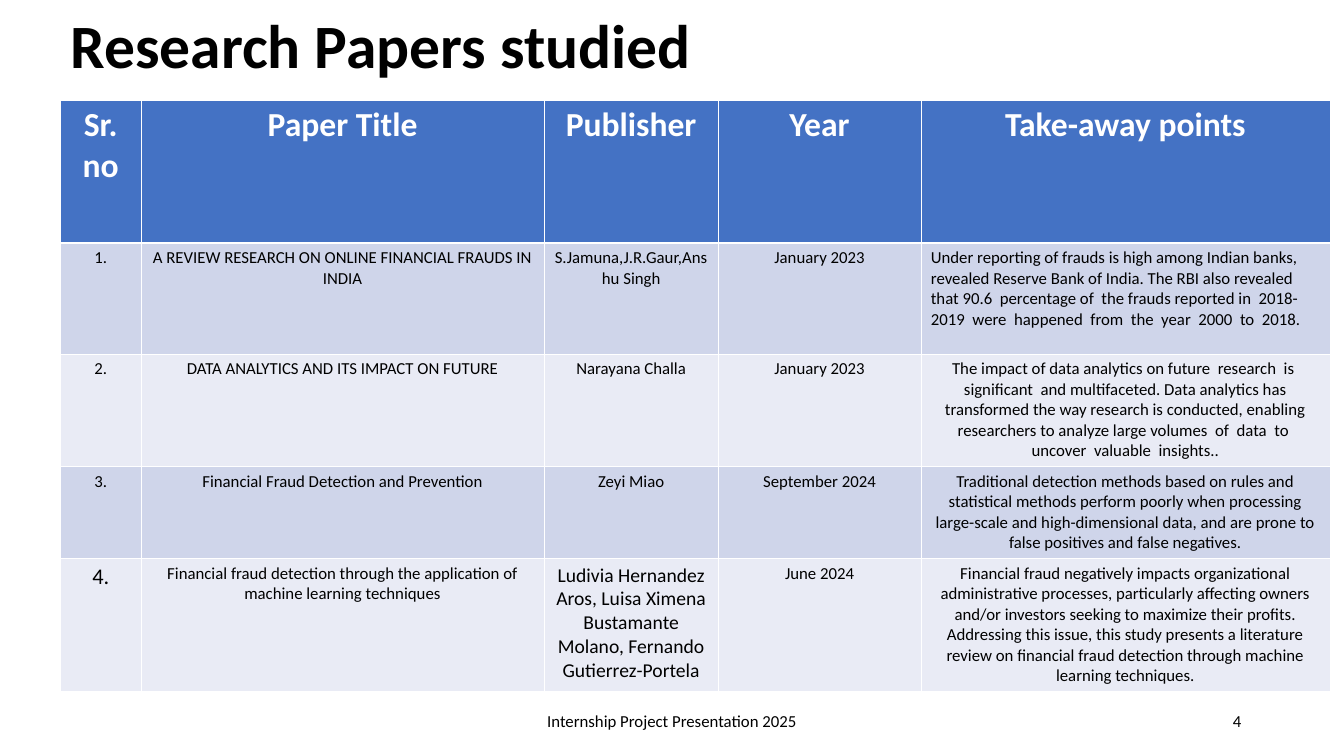
from lxml import etree
from pptx import Presentation
from pptx.dml.color import RGBColor
from pptx.enum.text import MSO_ANCHOR, PP_ALIGN
from pptx.oxml.ns import qn
from pptx.util import Pt

LEFT, CENTER, RIGHT = PP_ALIGN.LEFT, PP_ALIGN.CENTER, PP_ALIGN.RIGHT
MIDDLE = MSO_ANCHOR.MIDDLE

EMU_PER_PX = 9144  # 100 px to the inch
FONT = "Calibri"
BLACK, WHITE = "000000", "FFFFFF"
HEADER_FILL = "4472C4"
BAND_FILLS = ("CFD5EA", "E9EBF5")
THIN_RULE, HEADER_RULE = 0.45, 1.47

COLUMN_WIDTHS = (80, 400, 173, 201, 406)
ROW_HEIGHTS = (142, 110, 110, 90, 130)
HEADINGS = ("Sr. no", "Paper Title", "Publisher", "Year", "Take-away points")
PAPERS = (
    ("1.", "A REVIEW RESEARCH ON ONLINE FINANCIAL FRAUDS IN INDIA",
     "S.Jamuna,J.R.Gaur,Anshu Singh", "January 2023",
     "Under reporting of frauds is high among Indian banks, revealed Reserve "
     "Bank of India. The RBI also revealed that 90.6  percentage of  the "
     "frauds reported in  2018-2019  were  happened  from  the  year  2000  "
     "to  2018."),
    ("2.", "DATA ANALYTICS AND ITS IMPACT ON FUTURE",
     "Narayana Challa", "January 2023",
     "The impact of data analytics on future  research  is  significant  and "
     "multifaceted. Data analytics has transformed the way research is "
     "conducted, enabling researchers to analyze large volumes  of  data  to  "
     "uncover  valuable  insights.."),
    ("3.", "Financial Fraud Detection and Prevention",
     "Zeyi Miao", "September 2024",
     "Traditional detection methods based on rules and statistical methods "
     "perform poorly when processing large-scale and high-dimensional data, "
     "and are prone to false positives and false negatives."),
    ("4.", "Financial fraud detection through the application of machine "
     "learning techniques",
     "Ludivia Hernandez Aros, Luisa Ximena Bustamante Molano, "
     "Fernando Gutierrez-Portela", "June 2024",
     "Financial fraud negatively impacts organizational administrative "
     "processes, particularly affecting owners and/or investors seeking to "
     "maximize their profits. Addressing this issue, this study presents a "
     "literature review on financial fraud detection through machine "
     "learning techniques."),
)
# Cells that depart from the 12 pt centred body, by row and column
BODY_SIZES = {(4, 0): 16, (4, 2): 14}
BODY_ALIGNS = {(1, 4): LEFT}


def px(length):
    return length * EMU_PER_PX


def color(hex_code):
    return RGBColor.from_string(hex_code)


def write(frame, text, size, align=CENTER, ink=BLACK, bold=False):
    frame.text = text
    paragraph = frame.paragraphs[0]
    paragraph.alignment = align
    for run in paragraph.runs:
        run.font.name = FONT
        run.font.size = Pt(size)
        run.font.bold = bold
        run.font.color.rgb = color(ink)
    return paragraph


def add_title(slide, text):
    title = slide.shapes.title
    title.left, title.top, title.width, title.height = map(px, (60, 16, 1150, 65))
    title.text_frame.vertical_anchor = MIDDLE
    write(title.text_frame, text, 44, LEFT, bold=True).line_spacing = 0.9


def add_footer(slide, text, left, width, align):
    footer = slide.shapes.add_textbox(px(left), px(695), px(width), px(40))
    footer.text_frame.word_wrap = True
    footer.text_frame.vertical_anchor = MIDDLE
    write(footer.text_frame, text, 12, align)


def rule_cell(cell, row):
    """Draw white borders, heavier between the header and the first paper."""
    properties = cell._tc.get_or_add_tcPr()
    heavy_side = {0: "lnB", 1: "lnT"}.get(row)
    for position, side in enumerate(("lnL", "lnR", "lnT", "lnB")):
        width = HEADER_RULE if side == heavy_side else THIN_RULE
        line = etree.Element(qn(f"a:{side}"), w=str(Pt(width)))
        fill = etree.SubElement(line, qn("a:solidFill"))
        etree.SubElement(fill, qn("a:srgbClr"), val=WHITE)
        properties.insert(position, line)


def add_papers_table(slide):
    table = slide.shapes.add_table(
        len(ROW_HEIGHTS), len(COLUMN_WIDTHS), px(60), px(99),
        px(sum(COLUMN_WIDTHS)), px(sum(ROW_HEIGHTS))).table
    for column, width in zip(table.columns, COLUMN_WIDTHS):
        column.width = px(width)
    for table_row, height in zip(table.rows, ROW_HEIGHTS):
        table_row.height = px(height)

    for row, entries in enumerate((HEADINGS, *PAPERS)):
        for column, text in enumerate(entries):
            cell = table.cell(row, column)
            cell.fill.solid()
            if row == 0:
                cell.fill.fore_color.rgb = color(HEADER_FILL)
                write(cell.text_frame, text, 24, ink=WHITE, bold=True)
            else:
                cell.fill.fore_color.rgb = color(BAND_FILLS[(row - 1) % 2])
                write(cell.text_frame, text,
                      BODY_SIZES.get((row, column), 12),
                      BODY_ALIGNS.get((row, column), CENTER))
            rule_cell(cell, row)


def main():
    presentation = Presentation()
    presentation.slide_width, presentation.slide_height = px(1334), px(750)
    title_only = presentation.slide_layouts[5]
    slide = presentation.slides.add_slide(title_only)
    add_title(slide, "Research Papers studied")
    add_papers_table(slide)
    add_footer(slide, "Internship Project Presentation 2025", 442, 450, CENTER)
    add_footer(slide, "4", 942, 300, RIGHT)
    presentation.save("out.pptx")


if __name__ == "__main__":
    main()
